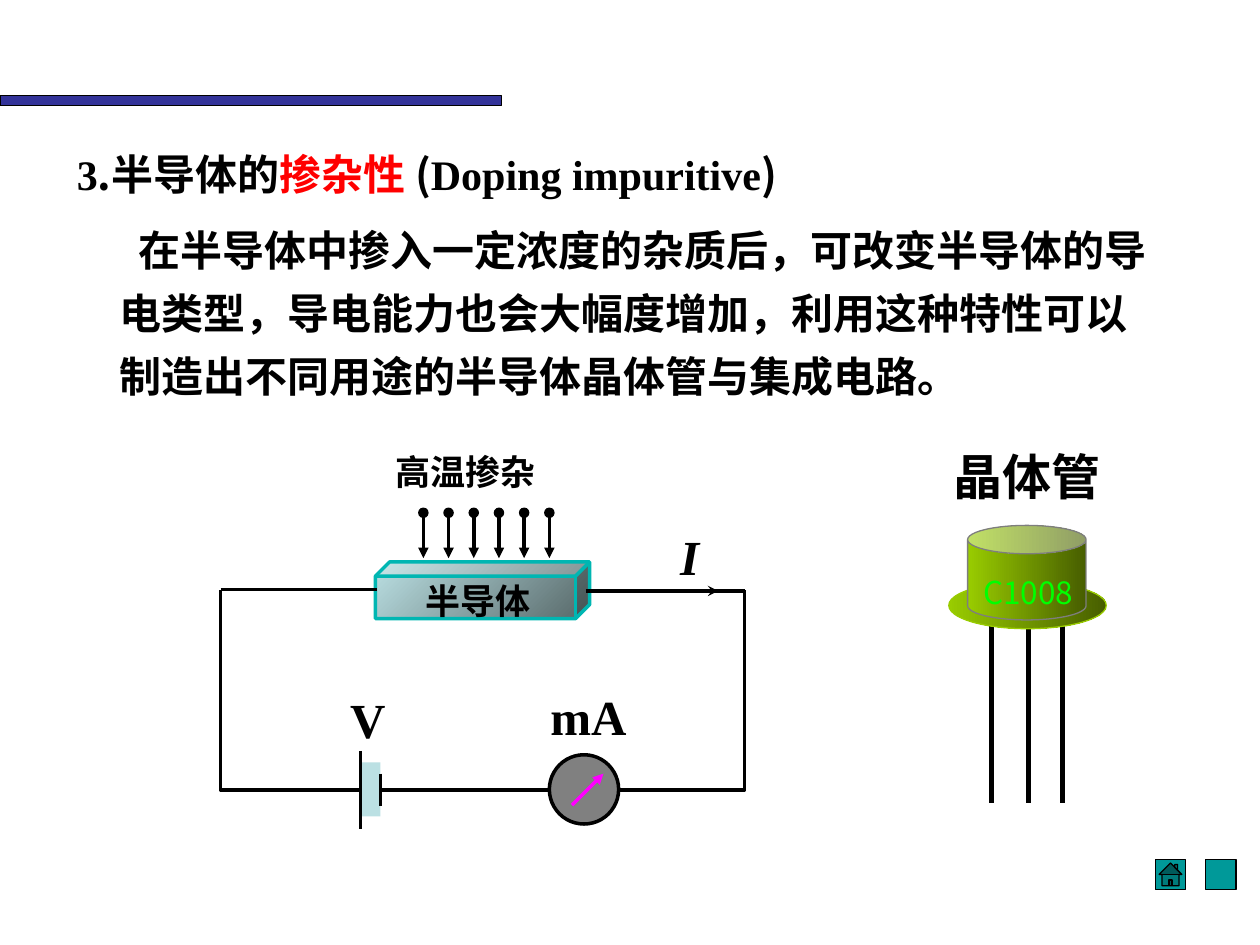
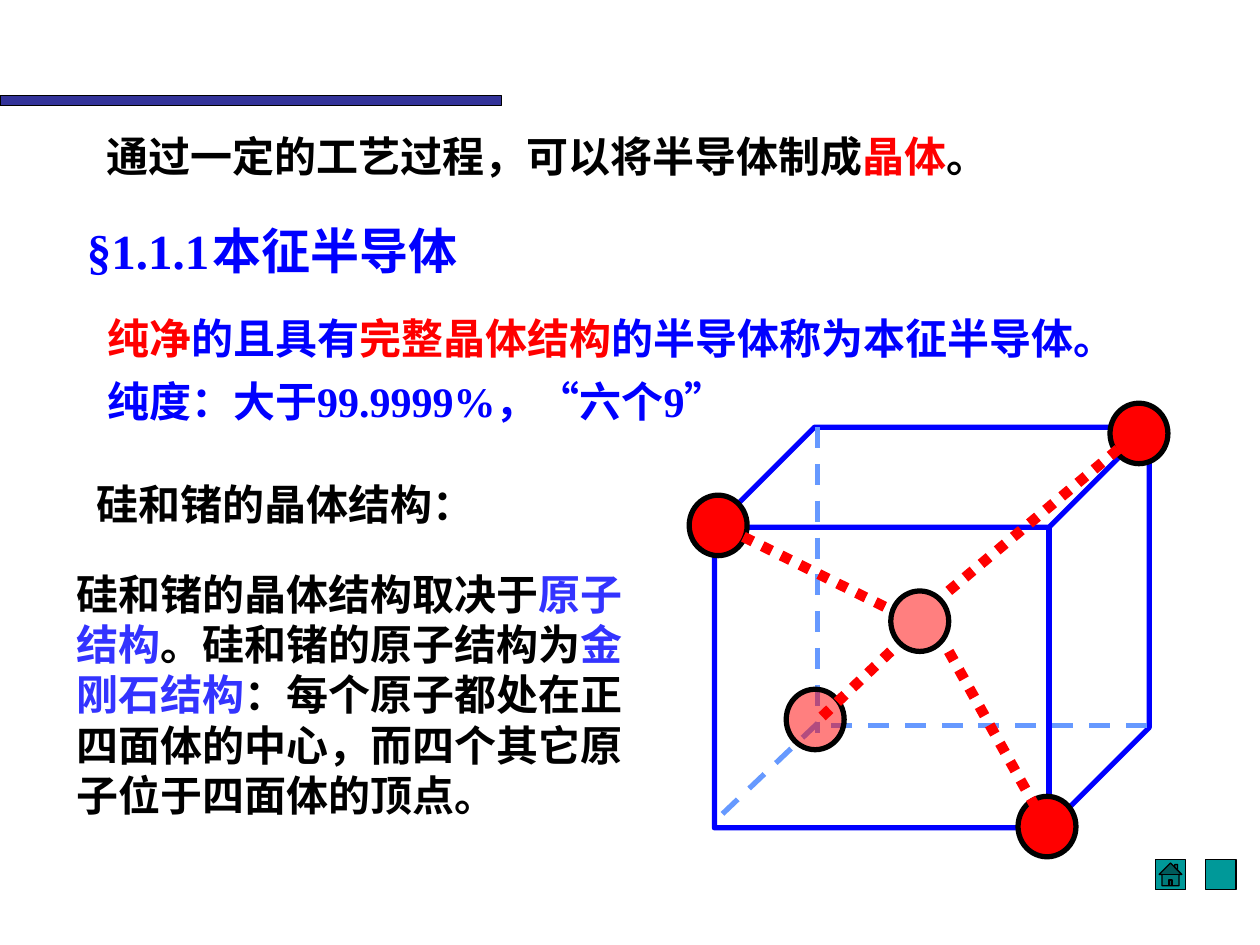
import lxml.etree
import pptx
import pptx.dml.color
import pptx.enum.dml
import pptx.enum.shapes
import pptx.enum.text
import pptx.oxml.ns
import pptx.util

RGB = pptx.dml.color.RGBColor
SHAPE = pptx.enum.shapes.MSO_SHAPE
DASH = pptx.enum.dml.MSO_LINE
ANCHOR = pptx.enum.text.MSO_ANCHOR
ALIGN = pptx.enum.text.PP_ALIGN

BLACK, RED, BLUE = RGB(0, 0, 0), RGB(255, 0, 0), RGB(0, 0, 255)
INDIGO, TEAL, VIOLET = RGB(0x33, 0x33, 0x99), RGB(0, 0x99, 0x99), RGB(0x33, 0x33, 0xFF)
ICE, SLATE, CYAN = RGB(0xBB, 0xE0, 0xE3), RGB(0x57, 0x68, 0x69), RGB(0, 0xB6, 0xB2)
LIME, OLIVE, GREEN = RGB(0x99, 0xCC, 0), RGB(0x47, 0x5E, 0), RGB(0, 255, 0)
GREY, RIM, MAGENTA = RGB(0x80, 0x80, 0x80), RGB(0x7E, 0x7E, 0x7E), RGB(255, 0, 255)
SKY = RGB(0x66, 0x99, 0xFF)
SERIF, SANS = "Times New Roman", "Noto Sans CJK SC"

# Each paragraph is a list of spans: text, colour, latin font (serif if left out)
DOPING_TITLE = [[("3", BLACK), (".半导体的", BLACK, SANS), ("掺杂性 ", RED, SANS),
                 ("(", BLACK, SANS), ("Doping impuritive", BLACK), (")", BLACK, SANS)]]
DOPING_BODY = [[("在半导体中掺入一定浓度的杂质后，可改变半导体的导电类型，导电能力也会大幅度增加，"
                 "利用这种特性可以制造出不同用途的半导体晶体管与集成电路。", BLACK, SANS)]]
# Label, place, size, italic
CIRCUIT_LABELS = [
    ("半导体", (3.28, 4.48, 1.03, 0.5), 20, False),
    ("高温掺杂", (3.04, 3.46, 1.31, 0.5), 20, False),
    ("I", (5.3, 4.04, 0.35, 0.66), 28, True),
    ("V", (2.68, 5.33, 0.61, 0.66), 28, False),
    ("mA", (4.27, 5.31, 0.8, 0.66), 28, False),
    ("晶体管", (7.47, 3.4, 1.7, 0.66), 28, False),
]

INTRINSIC_TITLE = [[("§1.1.1\t本征半导体", BLUE)]]
INTRINSIC_BODY = [
    [("纯净", RED), ("的且具有", BLUE), ("完整晶体结构", RED), ("的半导体称为本征半导体。", BLUE)],
    [("纯度：大于99.9999%，“六个9”", BLUE)],
]
CRYSTAL_NOTES = [
    ((0.75, 0.99, 7.93, 0.5),
     [[("通过一定的工艺过程，可以将半导体制成", BLACK), ("晶体", RED), ("。", BLACK)]]),
    ((0.67, 3.75, 3.31, 0.5), [[("硅和锗的晶体结构：", BLACK)]]),
    ((0.51, 4.46, 4.66, 2.1),
     [[("硅和锗的晶体结构取决于", BLACK), ("原子结构", VIOLET), ("。硅和锗的原子结构为", BLACK),
       ("金刚石结构", VIOLET),
       ("：每个原子都处在正四面体的中心，而四个其它原子位于四面体的顶点。", BLACK)]]),
]
ATOM = (0.46, 0.48)
# Centre of each atom, and whether it is see-through
ATOMS = [((5.7, 4.17), False), ((6.47, 5.71), True), ((9.04, 3.44), False), ((8.31, 6.56), False)]
CENTRE_ATOM = (7.3, 4.93)
BONDS = [((5.9, 4.26), (7.07, 4.84)), ((7.07, 5.17), (6.49, 5.72)),
         ((7.53, 5.17), (8.31, 6.57)), ((7.53, 4.69), (9.06, 3.41))]
HIDDEN_EDGES = [((6.49, 3.39), (6.49, 5.82)), ((9.1, 5.76), (6.47, 5.76)),
                ((6.49, 5.74), (5.66, 6.53))]


def inches(values):
    return [pptx.util.Inches(value) for value in values]


def add_element(parent, tag, **attributes):
    return lxml.etree.SubElement(parent, pptx.oxml.ns.qn(tag), attributes)


def set_all(target, values):
    for name, value in values.items():
        setattr(target, name, value)


def write(frame, paragraphs, size=24, spacing=1.0, anchor=ANCHOR.TOP, wrap=True,
          indent=0, tab=None, bold=True, italic=False, align=ALIGN.LEFT):
    set_all(frame, {"word_wrap": wrap, "vertical_anchor": anchor,
                    "auto_size": pptx.enum.text.MSO_AUTO_SIZE.NONE})
    for index, spans in enumerate(paragraphs):
        para = frame.add_paragraph() if index else frame.paragraphs[0]
        properties = para._p.get_or_add_pPr()
        properties.set("marL", "0")
        properties.set("indent", str(pptx.util.Inches(indent)))
        add_element(properties, "a:buNone")
        if tab:
            stops = add_element(properties, "a:tabLst")
            add_element(stops, "a:tab", pos=str(pptx.util.Inches(tab)), algn="l")
        set_all(para, {"alignment": align, "line_spacing": spacing,
                       "space_before": pptx.util.Pt(0)})
        for text, color, *font in spans:
            span = para.add_run()
            span.text = text
            set_all(span.font, {"name": font[0] if font else SERIF, "bold": bold,
                                "size": pptx.util.Pt(size), "italic": italic})
            span.font.color.rgb = color
            add_element(span._r.get_or_add_rPr(), "a:ea", typeface=SANS)


def fill_placeholder(box, place, paragraphs, **formats):
    set_all(box, dict(zip(("left", "top", "width", "height"), inches(place))))
    write(box.text_frame, paragraphs, **formats)


def add_text(page, place, paragraphs, **formats):
    write(page.shapes.add_textbox(*inches(place)).text_frame, paragraphs, **formats)


def paint(shape, fill=None, line=None, width=0.75):
    """Fill is a colour, None, or (first colour, last colour, angle)."""
    shape.shadow.inherit = False
    if fill is None:
        shape.fill.background()
    elif isinstance(fill, RGB):
        shape.fill.solid()
        shape.fill.fore_color.rgb = fill
    else:
        shape.fill.gradient()
        shape.fill.gradient_angle = fill[2]
        for stop, color, position in zip(shape.fill.gradient_stops, fill, (0, 1)):
            stop.color.rgb = color
            stop.position = position
    if line is None:
        shape.line.fill.background()
    else:
        shape.line.color.rgb = line
        shape.line.width = pptx.util.Pt(width)
    return shape


def add_shape(page, kind, place, fill=None, line=None, width=0.75, adjust=None):
    shape = page.shapes.add_shape(kind, *inches(place))
    if adjust is not None:
        shape.adjustments[0] = adjust
    return paint(shape, fill, line, width)


def add_line(page, start, end, color=BLACK, width=2, dash=None, head=None, tail=None):
    line = page.shapes.add_connector(pptx.enum.shapes.MSO_CONNECTOR.STRAIGHT,
                                     *inches(start + end))
    line.line.color.rgb = color
    line.line.width = pptx.util.Pt(width)
    if dash:
        line.line.dash_style = dash
    for tag, kind in (("a:headEnd", head), ("a:tailEnd", tail)):
        if kind:
            add_element(line.line._get_or_add_ln(), tag, type=kind)
    add_element(line._element.spPr, "a:effectLst")


def add_atom(page, centre, see_through):
    place = [middle - size / 2 for middle, size in zip(centre, ATOM)]
    atom = add_shape(page, SHAPE.OVAL, (*place, *ATOM), RED, BLACK, 3)
    if see_through:
        color = atom._element.spPr.find(".//" + pptx.oxml.ns.qn("a:srgbClr"))
        add_element(color, "a:alpha", val="50000")


def furnish_layout(layout, page):
    """Draw the band and buttons on a page, then move them to its layout."""
    parts = [add_shape(page, SHAPE.RECTANGLE, (0, 0.76, 3.98, 0.08), INDIGO, BLACK)]
    for left, kind in ((9.17, SHAPE.ACTION_BUTTON_HOME), (9.57, SHAPE.ACTION_BUTTON_CUSTOM)):
        parts.append(add_shape(page, kind, (left, 6.82, 0.24, 0.24), TEAL, BLACK))
    for part in parts:
        layout.shapes.element.append(part.element)


def draw_circuit(page):
    left, right, top, bottom = 1.75, 5.91, 4.68, 6.27
    add_shape(page, SHAPE.CUBE, (2.98, 4.46, 1.7, 0.45), (ICE, SLATE, 315), CYAN, 2, 0.25)
    add_line(page, (left, top), (2.99, top))
    wire = page.shapes.build_freeform(*inches((left, top)))
    corners = [(left, bottom), (right, bottom), (right, top)]
    wire.add_line_segments([inches(corner) for corner in corners], close=False)
    paint(wire.convert_to_shape(), None, BLACK, 2)
    add_shape(page, SHAPE.RECTANGLE, (2.86, 6.05, 0.16, 0.43), ICE)
    for plate, reach in ((3.02, 0.13), (2.86, 0.31)):
        add_line(page, (plate, bottom - reach), (plate, bottom + reach))
    add_line(page, (4.65, 4.69), (right, 4.69))
    add_shape(page, SHAPE.OVAL, (4.36, 5.99, 0.55, 0.55), GREY, BLACK, 2)
    add_line(page, (4.54, 6.39), (4.79, 6.14), MAGENTA, tail="triangle")
    add_line(page, (5.29, 4.69), (5.7, 4.69), tail="stealth")
    for index in range(6):
        column = 3.36 + 0.2 * index
        add_line(page, (column, 4.07), (column, 4.43), head="oval", tail="triangle")


def draw_transistor(page):
    metal = (LIME, OLIVE, 0)
    for leg in (7.87, 8.16, 8.43):
        add_line(page, (leg, 4.89), (leg, 6.37), width=3)
    add_shape(page, SHAPE.OVAL, (7.53, 4.62, 1.25, 0.37), metal, LIME)
    add_shape(page, SHAPE.CAN, (7.68, 4.17, 0.94, 0.75), metal, RIM, adjust=0.3)
    add_text(page, (7.66, 4.5, 1, 0.4), [[("C1008", GREEN, SANS)]], size=18, bold=False,
             wrap=False, align=ALIGN.CENTER)


def draw_crystal(page):
    add_shape(page, SHAPE.CUBE, (5.67, 3.39, 3.45, 3.18), None, BLUE, 3, 0.25)
    for start, end in HIDDEN_EDGES:
        add_line(page, start, end, SKY, 3, DASH.DASH)
    for centre, see_through in ATOMS:
        add_atom(page, centre, see_through)
    for start, end in BONDS:
        add_line(page, start, end, RED, 6, DASH.ROUND_DOT)
    add_atom(page, CENTRE_ATOM, True)


def build_doping(page):
    title, body = page.placeholders
    fill_placeholder(title, (0.51, 1.05, 7.02, 0.58), DOPING_TITLE, spacing=1.2)
    fill_placeholder(body, (0.85, 1.63, 8.44, 1.6), DOPING_BODY, spacing=1.25, indent=0.15)
    draw_circuit(page)
    draw_transistor(page)
    for label, place, size, italic in CIRCUIT_LABELS:
        add_text(page, place, [[(label, BLACK)]], size=size, spacing=1.2, italic=italic,
                 wrap=False)


def build_intrinsic(page):
    title, body = page.placeholders
    fill_placeholder(title, (0.59, 1.7, 4.23, 0.57), INTRINSIC_TITLE, size=28, tab=1.45)
    fill_placeholder(body, (0.75, 2.33, 8.51, 1.1), INTRINSIC_BODY, spacing=1.25,
                     anchor=ANCHOR.MIDDLE)
    for place, paragraphs in CRYSTAL_NOTES:
        add_text(page, place, paragraphs)
    draw_crystal(page)


def main():
    deck = pptx.Presentation()
    deck.slide_width, deck.slide_height = inches((10, 7.5))
    layout = deck.slide_layouts[1]
    pages = [deck.slides.add_slide(layout) for _ in range(2)]
    furnish_layout(layout, pages[0])
    build_doping(pages[0])
    build_intrinsic(pages[1])
    deck.save("out.pptx")


if __name__ == "__main__":
    main()
